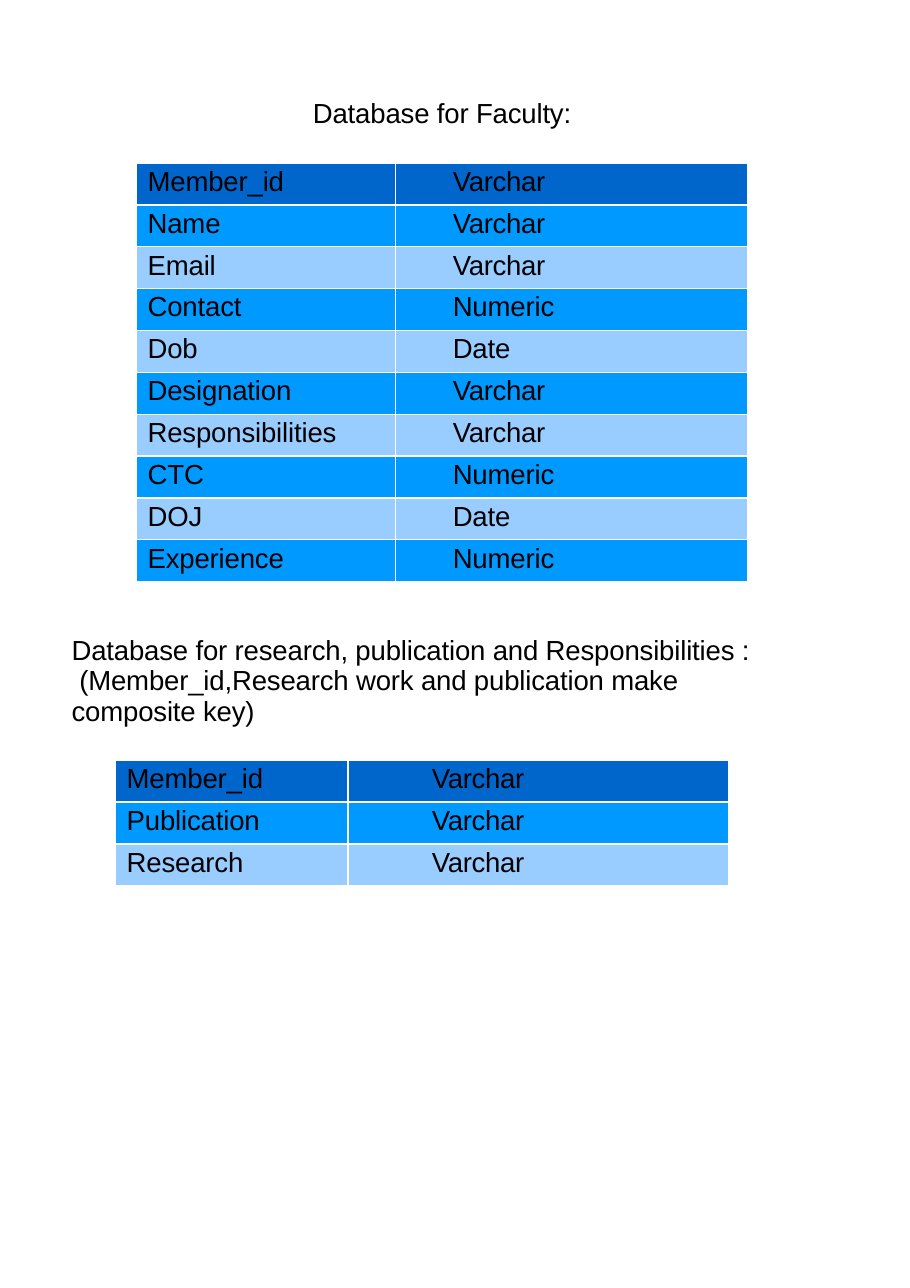
from pptx import Presentation
from pptx.dml.color import RGBColor
from pptx.enum.text import MSO_ANCHOR, PP_ALIGN
from pptx.util import Inches, Pt

TOP = MSO_ANCHOR.TOP
LEFT = PP_ALIGN.LEFT
TITLE_ONLY = 5
HEADER, ODD, EVEN = "0066CC", "0099FF", "99CCFF"
ROW_HEIGHT = 0.38

FACULTY = [
    ("Member_id", "Varchar"),
    ("Name", "Varchar"),
    ("Email", "Varchar"),
    ("Contact", "Numeric"),
    ("Dob", "Date"),
    ("Designation", "Varchar"),
    ("Responsibilities", "Varchar"),
    ("CTC", "Numeric"),
    ("DOJ", "Date"),
    ("Experience", "Numeric"),
]
RESEARCH = [
    ("Member_id", "Varchar"),
    ("Publication", "Varchar"),
    ("Research", "Varchar"),
]
RESEARCH_HEADING = [
    "Database for research, publication and Responsibilities :",
    "(Member_id,Research work and publication make composite key)",
]


def color(value):
    return RGBColor.from_string(value)


def write(p, text, spacing=-0.1):
    r = p.add_run()
    r.text = text
    r._r.get_or_add_rPr().set("spc", str(round(spacing * 100)))
    p.alignment = LEFT
    p.font.name = "Arial"
    p.font.size = Pt(18)
    p.font.color.rgb = color("000000")


def set_frame(tf, top):
    tf.word_wrap = True
    tf.vertical_anchor = TOP
    tf.margin_left = tf.margin_right = tf.margin_bottom = 0
    tf.margin_top = Inches(top)


def add_title(slide, x, y, w, h):
    sp = slide.shapes.title
    sp.left, sp.top, sp.width, sp.height = map(Inches, (x, y, w, h))
    set_frame(sp.text_frame, 0.02)
    write(sp.text_frame.paragraphs[0], "Database for Faculty:")


def add_heading(slide, x, y, w, h, lines):
    tf = slide.shapes.add_textbox(*map(Inches, (x, y, w, h))).text_frame
    set_frame(tf, 0.05)
    for i, line in enumerate(lines):
        p = tf.add_paragraph() if i else tf.paragraphs[0]
        p.line_spacing = 0.93
        if i:
            p._p.get_or_add_pPr().set("indent", str(Inches(0.07)))
        write(p, line)


def add_fields(slide, x, y, widths, insets, fields):
    height = ROW_HEIGHT * len(fields)
    box = map(Inches, (x, y, sum(widths), height))
    table = slide.shapes.add_table(len(fields), len(widths), *box).table
    for column, width in zip(table.columns, widths):
        column.width = Inches(width)
    for i, field in enumerate(fields):
        table.rows[i].height = Inches(height / len(fields))
        fill = HEADER if i == 0 else ODD if i % 2 else EVEN
        for j, text in enumerate(field):
            cell = table.cell(i, j)
            cell.fill.solid()
            cell.fill.fore_color.rgb = color(fill)
            cell.vertical_anchor = TOP
            cell.margin_left = Inches(insets[j])
            cell.margin_top = Inches(0.03)
            cell.margin_right = cell.margin_bottom = 0
            write(cell.text_frame.paragraphs[0], text, -0.2 if text == "Varchar" else -0.1)


def main():
    prs = Presentation()
    prs.slide_width = Inches(8.26)
    prs.slide_height = Inches(11.69)
    slide = prs.slides.add_slide(prs.slide_layouts[TITLE_ONLY])
    add_title(slide, 2.84, 0.85, 2.4, 0.33)
    add_fields(slide, 1.24, 1.48, (2.35, 3.2), (0.1, 0.52), FACULTY)
    add_heading(slide, 0.65, 5.72, 6.25, 0.89, RESEARCH_HEADING)
    add_fields(slide, 1.05, 6.9, (2.11, 3.45), (0.1, 0.76), RESEARCH)
    prs.save("out.pptx")


if __name__ == "__main__":
    main()
